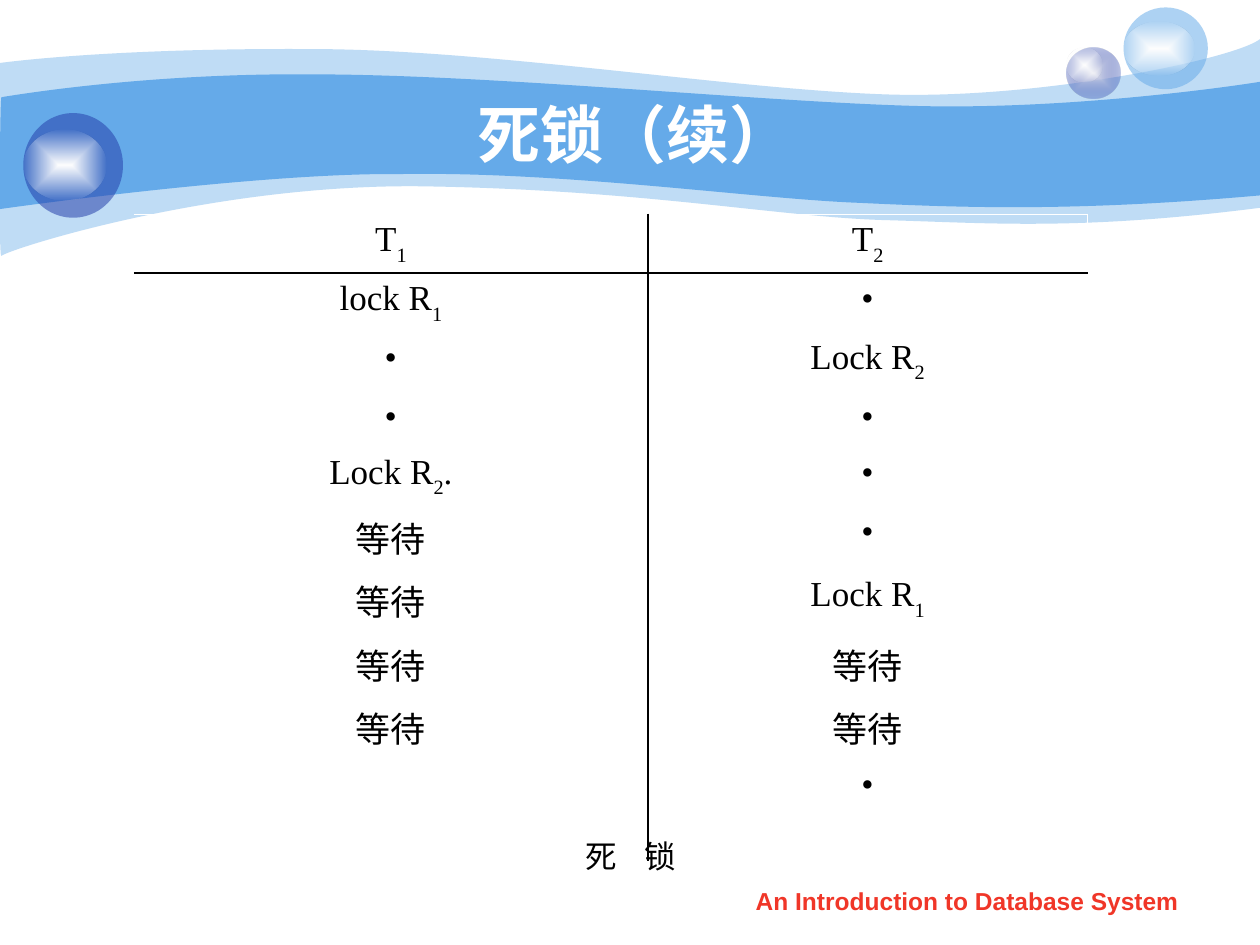
from dataclasses import dataclass
from typing import Optional

import pptx
import pptx.dml.color
import pptx.enum.shapes
import pptx.enum.text
import pptx.oxml
import pptx.oxml.ns
import pptx.util
from lxml import etree

Cm = pptx.util.Cm
qn = pptx.oxml.ns.qn
CENTER = pptx.enum.text.PP_ALIGN.CENTER
NO_STYLE = "{2D5ABB26-0587-4C30-8999-92F81FD0307C}"
INDENT = Cm(0.97)


@dataclass(frozen=True)
class Theme:
    sky: str = "65AAE9"
    navy: str = "233DA9"
    mist: str = "E1E2ED"
    white: str = "FFFFFF"
    black: str = "000000"
    red: str = "F03628"
    sans: str = "Arial"
    serif: str = "Times New Roman"
    title_size: int = 36
    table_size: int = 20
    caption_size: int = 18
    footer_size: int = 14
    caption_gap: int = 1170


@dataclass(frozen=True)
class Tint:
    color: str
    opacity: int = 100


@dataclass(frozen=True)
class Wave:
    start: tuple
    curves: tuple
    tint: Tint


@dataclass(frozen=True)
class Disc:
    box: tuple
    tint: Tint
    core: Optional[Tint] = None


THEME = Theme()
GLOW = {"core": Tint(THEME.white), "tint": Tint(THEME.white, 0)}

WAVES = (
    Wave((0, 1.27), (
        ((0.61, 1.19), (2.72, 0.97), (6.27, 0.99)),
        ((9.8, 0.99), (14.61, 1.78), (17.75, 1.9)),
        ((20.88, 2.03), (24.89, 1.19), (25.4, 0.79)),
        ((25.4, 4.19),),
        ((21.79, 4.65), (19.99, 4.5), (17.91, 4.44)),
        ((15.8, 4.39), (13.08, 3.84), (8.71, 3.76)),
        ((4.37, 3.66), (0.1, 5.05), (0.03, 5.16)),
        ((-0.03, 5.28), (0, 1.9), (0, 1.27)),
    ), Tint(THEME.sky, 41)),
    Wave((0.03, 1.96), (
        ((0.05, 1.96), (2.79, 1.47), (6.3, 1.5)),
        ((9.8, 1.5), (15.11, 2.03), (18.24, 2.13)),
        ((21.36, 2.24), (24.79, 1.75), (25.4, 1.65)),
        ((25.4, 3.94),),
        ((21.67, 4.27), (19.43, 4.19), (17.32, 4.09)),
        ((15.21, 4.01), (11.35, 3.45), (8.05, 3.51)),
        ((5.16, 3.48), (-0.05, 4.22), (-0.03, 4.22)),
        ((0, 4.22), (0, 1.96), (0.03, 1.96)),
    ), Tint(THEME.sky)),
)

DISCS = (
    Disc((21.51, 0.97, 1.07, 1.02), Tint(THEME.navy, 31), Tint(THEME.mist)),
    Disc((21.51, 0.97, 0.71, 0.69), **GLOW),
    Disc((22.65, 0.15, 1.7, 1.65), Tint(THEME.sky, 53)),
    Disc((22.65, 0.43, 1.42, 1.09), **GLOW),
    Disc((0.47, 2.28, 2.01, 2.11), Tint(THEME.navy, 53)),
    Disc((0.47, 2.62, 1.68, 1.42), **GLOW),
)

SCHEDULE = (
    ("T_1", "T_2"),
    ("lock R_1", "•"),
    ("•", "Lock R_2"),
    ("•", "•"),
    ("Lock R_2.", "•"),
    ("等待", "•"),
    ("等待", "Lock R_1"),
    ("等待", "等待"),
    ("等待", "等待"),
    ("", "•"),
)


def rgb(color: str):
    return pptx.dml.color.RGBColor.from_string(color)


def apply_format(target, values: dict) -> None:
    for attribute, value in values.items():
        setattr(target, attribute, value)


def add_run(paragraph, text: str, face: str, size: int, color: str, bold: bool = False):
    run = paragraph.add_run()
    run.text = text
    apply_format(run.font, {"name": face, "size": pptx.util.Pt(size), "bold": bold})
    run.font.color.rgb = rgb(color)
    return run


def set_opacity(owner, opacity: int) -> None:
    if opacity < 100:
        color = next(owner.iter(qn("a:srgbClr")))
        etree.SubElement(color, qn("a:alpha")).set("val", str(opacity * 1000))


def paint(shape, tint: Tint, core: Optional[Tint] = None) -> None:
    shape.shadow.inherit = False
    shape.line.fill.background()
    if core is None:
        shape.fill.solid()
        shape.fill.fore_color.rgb = rgb(tint.color)
        set_opacity(shape._element.spPr, tint.opacity)
        return
    shape.fill.gradient()
    for stop, stop_tint in zip(shape.fill.gradient_stops, (core, tint)):
        stop.color.rgb = rgb(stop_tint.color)
    gradient = shape._element.spPr.find(qn("a:gradFill"))
    for stop, stop_tint in zip(gradient.iter(qn("a:gs")), (core, tint)):
        set_opacity(stop, stop_tint.opacity)
    radial = etree.Element(qn("a:path"), path="shape")
    etree.SubElement(radial, qn("a:fillToRect"), {side: "50000" for side in "ltrb"})
    gradient.replace(gradient.find(qn("a:lin")), radial)


def draw_wave(slide, wave: Wave) -> None:
    outline = [tuple(map(Cm, point)) for curve in wave.curves for point in curve]
    builder = slide.shapes.build_freeform(*map(Cm, wave.start))
    builder.add_line_segments(outline, close=True)
    shape = builder.convert_to_shape()
    segments = iter(list(shape._element.spPr.iter(qn("a:lnTo"))))
    for curve in wave.curves:
        parts = [next(segments) for _ in curve]
        if len(parts) == 3:
            bend = etree.Element(qn("a:cubicBezTo"))
            parts[0].addprevious(bend)
            for part in parts:
                bend.append(part[0])
                part.getparent().remove(part)
    paint(shape, wave.tint)


def draw_disc(slide, disc: Disc) -> None:
    oval = pptx.enum.shapes.MSO_SHAPE.OVAL
    paint(slide.shapes.add_shape(oval, *map(Cm, disc.box)), disc.tint, disc.core)


def center_hanging(paragraph) -> None:
    paragraph.alignment = CENTER
    properties = paragraph._p.get_or_add_pPr()
    properties.set("marL", str(INDENT))
    properties.set("indent", str(-INDENT))


def add_label(slide, box: tuple, wrap: bool):
    frame = slide.shapes.add_textbox(*map(Cm, box)).text_frame
    frame.word_wrap = wrap
    frame.paragraphs[0].alignment = CENTER
    return frame.paragraphs[0]


def add_border(cell, side: str, color: Optional[str]) -> None:
    border = etree.SubElement(cell._tc.get_or_add_tcPr(), qn(f"a:ln{side}"), w="12700")
    if color is None:
        etree.SubElement(border, qn("a:noFill"))
        return
    fill = etree.SubElement(border, qn("a:solidFill"))
    etree.SubElement(fill, qn("a:srgbClr"), val=color)


def write_step(cell, text: str) -> None:
    paragraph = cell.text_frame.paragraphs[0]
    center_hanging(paragraph)
    base, _, tail = text.partition("_")
    for part, baseline in ((base, 0), (tail[:1], -30000), (tail[1:], 0)):
        if part:
            run = add_run(paragraph, part, THEME.serif, THEME.table_size, THEME.black)
            if baseline:
                run.font._element.set("baseline", str(baseline))


def draw_schedule(slide) -> None:
    last = len(SCHEDULE) - 1
    frame = slide.shapes.add_table(last + 1, 2, Cm(2.7), Cm(4.32), Cm(19.22), Cm(12.23))
    table = frame.table
    apply_format(table, {"first_row": False, "horz_banding": False})
    table._tbl.tblPr.find(qn("a:tableStyleId")).text = NO_STYLE
    for column, width in zip(table.columns, (10.36, 8.86)):
        column.width = Cm(width)
    sides = ({"R": THEME.black}, {"L": THEME.black, "R": THEME.white})
    edges = {0: {"T": THEME.white, "B": THEME.black},
             1: {"T": THEME.black},
             last: {"B": THEME.white}}
    for index, steps in enumerate(SCHEDULE):
        table.rows[index].height = Cm(2.06 if index == last else 1.13)
        for column, text in enumerate(steps):
            cell = table.cell(index, column)
            borders = sides[column] | edges.get(index, {})
            for side in "LRTB":
                add_border(cell, side, borders.get(side))
            cell.fill.background()
            write_step(cell, text)


def place_title(slide, text: str) -> None:
    title = slide.shapes.title
    title._element.getparent().append(title._element)
    apply_format(title, {"left": Cm(2.54), "top": Cm(1.9), "width": Cm(20.52), "height": Cm(1.57)})
    title.text_frame.vertical_anchor = pptx.enum.text.MSO_ANCHOR.MIDDLE
    paragraph = title.text_frame.paragraphs[0]
    paragraph.alignment = CENTER
    add_run(paragraph, text, THEME.sans, THEME.title_size, THEME.white, True)


def main() -> None:
    deck = pptx.Presentation()
    apply_format(deck, {"slide_width": Cm(25.4), "slide_height": Cm(19.05)})
    slide = deck.slides.add_slide(deck.slide_layouts[5])
    for wave in WAVES:
        draw_wave(slide, wave)
    for disc in DISCS:
        draw_disc(slide, disc)
    footer = add_label(slide, (14.5, 17.73, 10, 0.89), True)
    add_run(footer, "An Introduction to Database System",
            THEME.sans, THEME.footer_size, THEME.red, True)
    place_title(slide, "死锁（续）")
    draw_schedule(slide)
    caption = add_label(slide, (11.51, 16.74, 2.41, 1.02), False)
    center_hanging(caption)
    _, gap, _ = [add_run(caption, part, THEME.serif, THEME.caption_size, THEME.black)
                 for part in ("死", " ", "锁")]
    gap.font._element.set("spc", str(THEME.caption_gap))
    deck.save("out.pptx")


if __name__ == "__main__":
    main()
